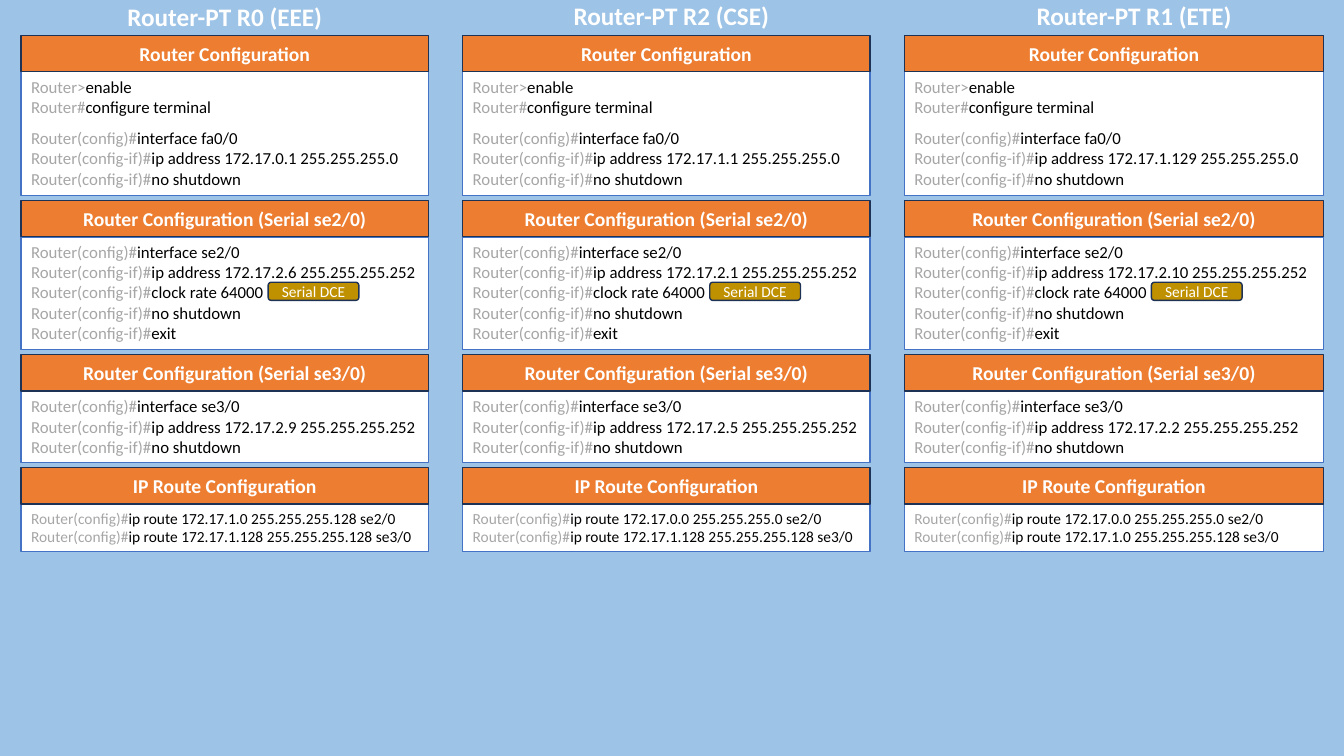
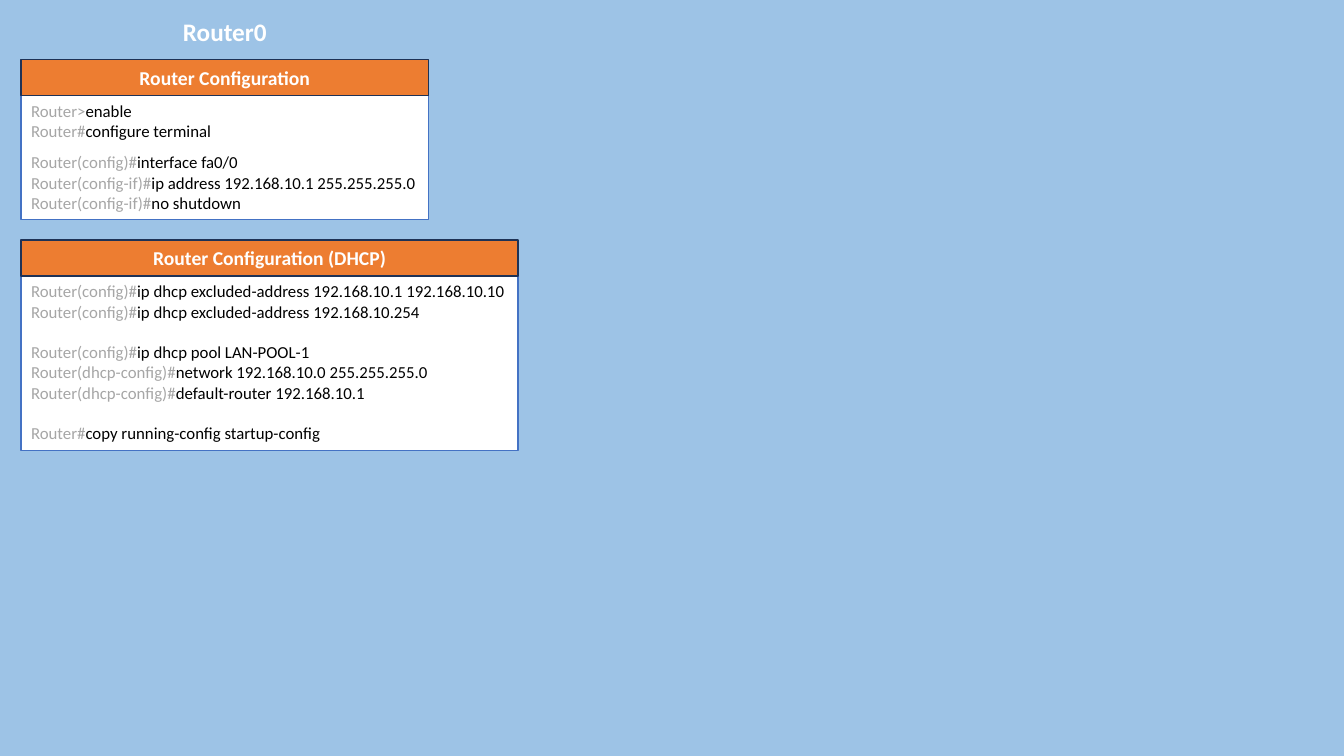
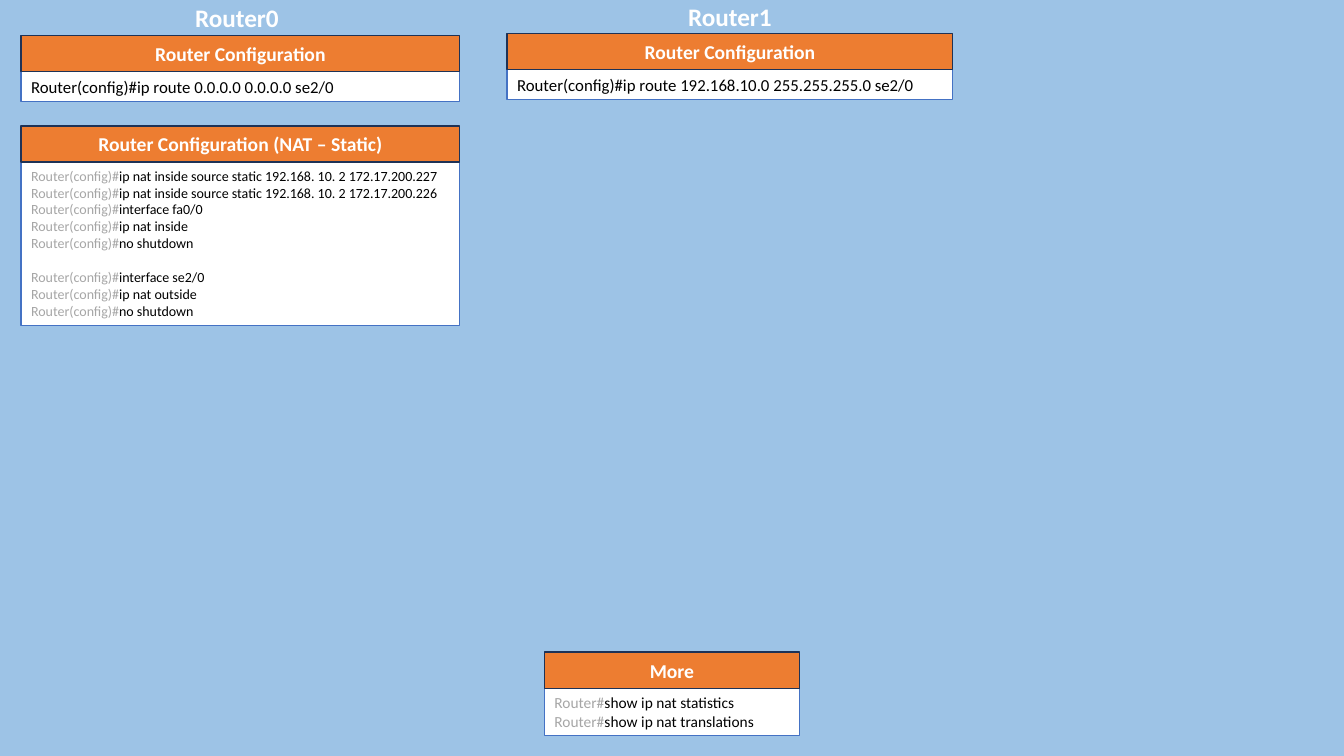
from dataclasses import dataclass
from typing import Optional

import pptx
import pptx.dml.color
import pptx.enum.shapes
import pptx.enum.text
import pptx.presentation
import pptx.shapes.autoshape
import pptx.slide
import pptx.text.text
import pptx.util

Inches = pptx.util.Inches
Pt = pptx.util.Pt
Align = pptx.enum.text.PP_ALIGN
Anchor = pptx.enum.text.MSO_ANCHOR
AutoSize = pptx.enum.text.MSO_AUTO_SIZE
Preset = pptx.enum.shapes.MSO_SHAPE


@dataclass(frozen=True)
class Theme:
    font: str = "Calibri"
    background: str = "9DC3E6"
    white: str = "FFFFFF"
    command: str = "000000"
    prompt: str = "A6A6A6"
    header: str = "ED7D31"
    header_line: str = "1E3256"
    body_line: str = "4472C4"
    badge: str = "BF9000"
    heading_size: int = 18
    header_size: int = 14
    code_size: int = 12
    small_code_size: int = 11
    tiny_code_size: int = 10
    badge_size: int = 11
    line_pitch: float = 1.22


THEME = Theme()
HEADER_HEIGHT = 0.36
HEADING_HEIGHT = 0.4
BODY_PADDING = 0.1
SHORT_GAP = 8


@dataclass(frozen=True)
class Card:
    """A titled box of command blocks; block_gap is in points, one line by default."""
    title: str
    blocks: tuple[tuple[str, ...], ...]
    size: int = THEME.code_size
    block_gap: Optional[float] = None
    dim_prompt: bool = True
    badge: Optional[str] = None

    @property
    def gap(self) -> float:
        return self.size * THEME.line_pitch if self.block_gap is None else self.block_gap

    @property
    def body_height(self) -> float:
        line_count = sum(len(block) for block in self.blocks)
        points = line_count * self.size * THEME.line_pitch + (len(self.blocks) - 1) * self.gap
        return round(BODY_PADDING + points / 72, 2)


@dataclass(frozen=True)
class Heading:
    text: str
    centre: float
    top: float
    width: float = 1.04


@dataclass(frozen=True)
class Column:
    left: float
    top: float
    width: float
    cards: tuple[Card, ...]
    heading: Optional[Heading] = None
    gap: float = 0.05


def colour(value: str) -> pptx.dml.color.RGBColor:
    return pptx.dml.color.RGBColor.from_string(value)


def add_span(para: pptx.text.text._Paragraph, text: str, size: int, ink: str,
             bold: bool = False) -> None:
    span = para.add_run()
    span.text = text
    span.font.name = THEME.font
    span.font.size = Pt(size)
    span.font.bold = bold
    span.font.color.rgb = colour(ink)


def add_box(shapes, preset: Preset, left: float, top: float, width: float, height: float,
            fill: str, line: str) -> pptx.shapes.autoshape.Shape:
    box = shapes.add_shape(preset, Inches(left), Inches(top), Inches(width), Inches(height))
    box.shadow.inherit = False
    box.fill.solid()
    box.fill.fore_color.rgb = colour(fill)
    box.line.color.rgb = colour(line)
    box.line.width = Pt(1)
    box.text_frame.word_wrap = True
    return box


def add_label(box: pptx.shapes.autoshape.Shape, text: str, size: int, bold: bool = False) -> None:
    """Write one centred white line in a box."""
    box.text_frame.vertical_anchor = Anchor.MIDDLE
    para = box.text_frame.paragraphs[0]
    para.alignment = Align.CENTER
    add_span(para, text, size, THEME.white, bold)


def add_commands(box: pptx.shapes.autoshape.Shape, card: Card) -> None:
    frame = box.text_frame
    frame.vertical_anchor = Anchor.TOP
    frame.auto_size = AutoSize.SHAPE_TO_FIT_TEXT
    for block_index, block in enumerate(card.blocks):
        for line_index, line in enumerate(block):
            first = block_index == line_index == 0
            para = frame.paragraphs[0] if first else frame.add_paragraph()
            para.alignment = Align.LEFT
            if block_index and not line_index:
                para.space_before = Pt(card.gap)
            if card.dim_prompt:
                prompt, mark, command = line.partition(">" if ">" in line else "#")
                add_span(para, prompt + mark, card.size, THEME.prompt)
                add_span(para, command, card.size, THEME.command)
            else:
                add_span(para, line, card.size, THEME.command)


def add_card(slide: pptx.slide.Slide, card: Card, left: float, top: float, width: float) -> None:
    group = slide.shapes.add_group_shape()
    body_top = top + HEADER_HEIGHT
    body = add_box(group.shapes, Preset.RECTANGLE, left, body_top, width, card.body_height,
                   THEME.white, THEME.body_line)
    add_commands(body, card)
    header = add_box(group.shapes, Preset.RECTANGLE, left, top, width, HEADER_HEIGHT,
                     THEME.header, THEME.header_line)
    add_label(header, card.title, THEME.header_size, bold=True)
    if card.badge:
        badge = add_box(slide.shapes, Preset.ROUNDED_RECTANGLE, left + 2.45, body_top + 0.45,
                        0.9, 0.18, THEME.badge, THEME.header_line)
        add_label(badge, card.badge, THEME.badge_size)


def add_heading(slide: pptx.slide.Slide, heading: Heading) -> None:
    """Use the title placeholder for the first heading and text boxes for the rest."""
    place = (Inches(heading.centre - heading.width / 2), Inches(heading.top),
             Inches(heading.width), Inches(HEADING_HEIGHT))
    title = slide.shapes.title
    if title.has_text_frame and not title.text_frame.text:
        box = title
        box.left, box.top, box.width, box.height = place
    else:
        box = slide.shapes.add_textbox(*place)
    box.text_frame.word_wrap = False
    box.text_frame.auto_size = AutoSize.SHAPE_TO_FIT_TEXT
    add_label(box, heading.text, THEME.heading_size, bold=True)


def add_slide(deck: pptx.presentation.Presentation, columns: tuple[Column, ...]) -> None:
    slide = deck.slides.add_slide(deck.slide_layouts.get_by_name("Title Only"))
    for column in columns:
        if column.heading:
            add_heading(slide, column.heading)
        top = column.top
        for card in column.cards:
            add_card(slide, card, column.left, top, column.width)
            top += HEADER_HEIGHT + card.body_height + column.gap


def interface_lines(port: str, address: str, *extra: str) -> tuple[str, ...]:
    commands = (f"ip address {address}", *extra)
    return (f"Router(config)#interface {port}",
            *(f"Router(config-if)#{command}" for command in commands))


def lan_card(address: str) -> Card:
    return Card("Router Configuration",
                (("Router>enable", "Router#configure terminal"),
                 interface_lines("fa0/0", f"{address} 255.255.255.0", "no shutdown")),
                block_gap=SHORT_GAP)


def router_cards(lan: str, se2: str, se3: str, routes: tuple[str, str]) -> tuple[Card, ...]:
    mask = "255.255.255.252"
    return (
        lan_card(lan),
        Card("Router Configuration (Serial se2/0)",
             (interface_lines("se2/0", f"{se2} {mask}", "clock rate 64000", "no shutdown", "exit"),),
             badge="Serial DCE"),
        Card("Router Configuration (Serial se3/0)",
             (interface_lines("se3/0", f"{se3} {mask}", "no shutdown"),)),
        Card("IP Route Configuration",
             (tuple(f"Router(config)#ip route {route}" for route in routes),),
             size=THEME.small_code_size),
    )


def default_route_card(route: str) -> Card:
    return Card("Router Configuration", ((f"Router(config)#ip route {route}",),), dim_prompt=False)


ROUTING = (
    Column(0.21, 0.35, 4.04,
           router_cards("172.17.0.1", "172.17.2.6", "172.17.2.9",
                        ("172.17.1.0 255.255.255.128 se2/0",
                         "172.17.1.128 255.255.255.128 se3/0")),
           Heading("Router-PT R0 (EEE)", 2.23, -0.04, 2.16)),
    Column(4.59, 0.35, 4.04,
           router_cards("172.17.1.1", "172.17.2.1", "172.17.2.5",
                        ("172.17.0.0 255.255.255.0 se2/0",
                         "172.17.1.128 255.255.255.128 se3/0")),
           Heading("Router-PT R2 (CSE)", 6.66, -0.05, 2.16)),
    Column(8.97, 0.35, 4.16,
           router_cards("172.17.1.129", "172.17.2.10", "172.17.2.2",
                        ("172.17.0.0 255.255.255.0 se2/0",
                         "172.17.1.0 255.255.255.128 se3/0")),
           Heading("Router-PT R1 (ETE)", 11.25, -0.05, 2.16)),
)

DHCP = (
    Column(0.21, 0.59, 4.04, (lan_card("192.168.10.1"),), Heading("Router0", 2.23, 0.11)),
    Column(0.21, 2.38, 4.93, (
        Card("Router Configuration (DHCP)", (
            ("Router(config)#ip dhcp excluded-address 192.168.10.1 192.168.10.10",
             "Router(config)#ip dhcp excluded-address 192.168.10.254"),
            ("Router(config)#ip dhcp pool LAN-POOL-1",
             "Router(dhcp-config)#network 192.168.10.0 255.255.255.0",
             "Router(dhcp-config)#default-router 192.168.10.1"),
            ("Router#copy running-config startup-config",),
        )),
    )),
)

NAT = (
    Column(0.21, 0.35, 4.35, (
        default_route_card("0.0.0.0 0.0.0.0 se2/0"),
        Card("Router Configuration (NAT – Static)", (
            ("Router(config)#ip nat inside source static 192.168. 10. 2 172.17.200.227",
             "Router(config)#ip nat inside source static 192.168. 10. 2 172.17.200.226",
             "Router(config)#interface fa0/0",
             "Router(config)#ip nat inside",
             "Router(config)#no shutdown"),
            ("Router(config)#interface se2/0",
             "Router(config)#ip nat outside",
             "Router(config)#no shutdown"),
        ), size=THEME.tiny_code_size),
    ), Heading("Router0", 2.35, -0.03), gap=0.24),
    Column(5.03, 0.33, 4.42, (default_route_card("192.168.10.0 255.255.255.0 se2/0"),),
           Heading("Router1", 7.24, -0.04)),
    Column(5.4, 6.47, 2.53, (
        Card("More", (("Router#show ip nat statistics", "Router#show ip nat translations"),),
             size=THEME.small_code_size),
    )),
)


def main() -> None:
    deck = pptx.Presentation()
    deck.slide_width = Inches(13.33)
    deck.slide_height = Inches(7.5)
    background = deck.slide_master.background.fill
    background.solid()
    background.fore_color.rgb = colour(THEME.background)
    for columns in (ROUTING, DHCP, NAT):
        add_slide(deck, columns)
    deck.save("out.pptx")


if __name__ == "__main__":
    main()
